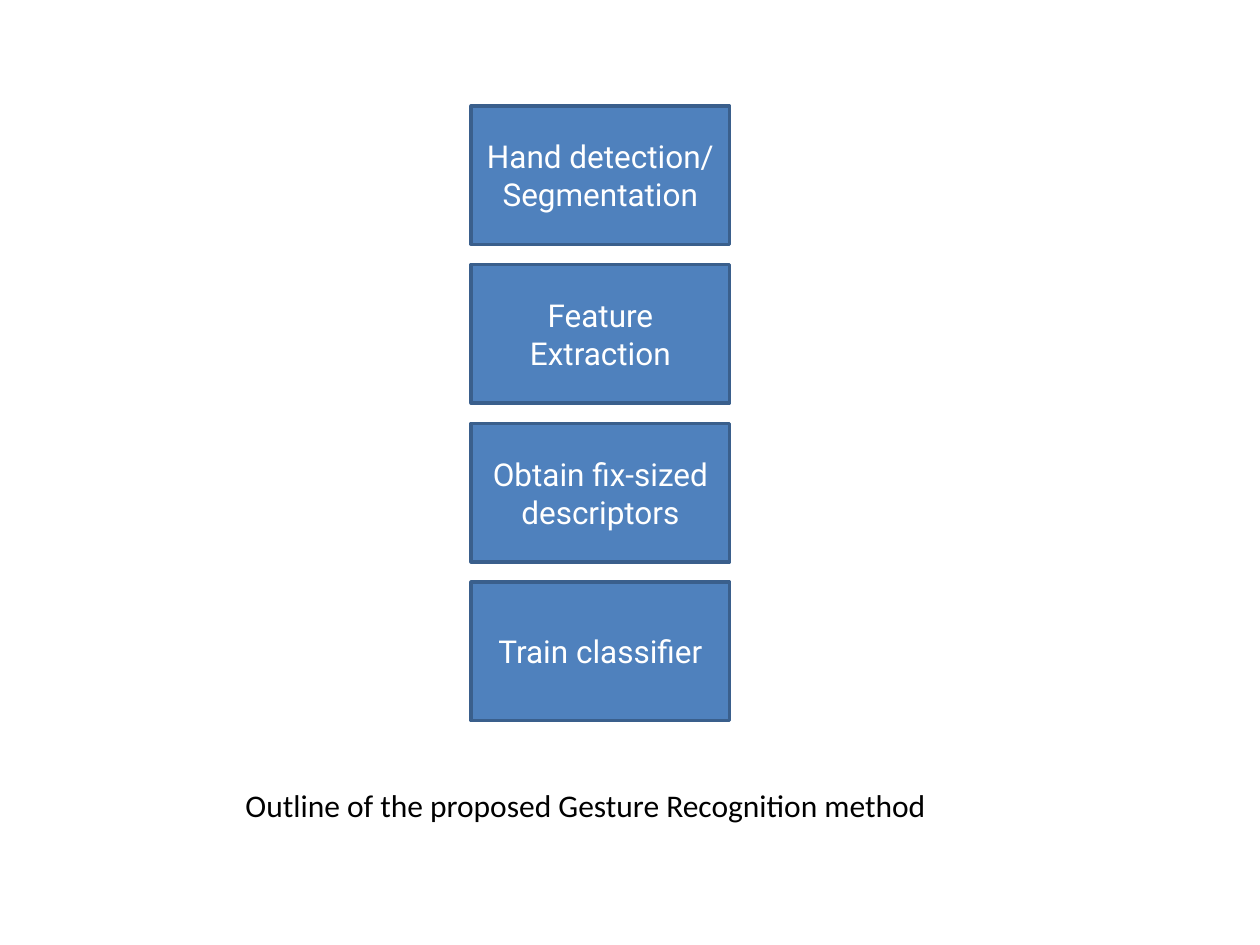
from pptx import Presentation
from pptx.dml.color import RGBColor
from pptx.enum.shapes import MSO_SHAPE
from pptx.enum.text import MSO_ANCHOR, MSO_AUTO_SIZE, PP_ALIGN
from pptx.util import Inches, Pt

COLORS = {"step": "4F81BD", "border": "3A5F8C", "step_text": "FFFFFF", "caption": "000000"}
STEPS = [
    "Hand detection/ Segmentation",
    "Feature Extraction",
    "Obtain fix-sized descriptors",
    "Train classifier",
]
GAP = Inches(0.16)


def color(name):
    return RGBColor.from_string(COLORS[name])


def set_font(paragraph, family, color_name):
    paragraph.font.name = family
    paragraph.font.size = Pt(18)
    paragraph.font.color.rgb = color(color_name)


def add_steps(slide, left, top, width, height):
    """Stack the steps evenly inside the given box."""
    step_height = (height - GAP * (len(STEPS) - 1)) // len(STEPS)
    for row, label in enumerate(STEPS):
        step = slide.shapes.add_shape(
            MSO_SHAPE.RECTANGLE, left, top + row * (step_height + GAP), width, step_height)
        step.shadow.inherit = False
        step.fill.solid()
        step.fill.fore_color.rgb = color("step")
        step.line.color.rgb = color("border")
        step.line.width = Pt(2)
        frame = step.text_frame
        frame.word_wrap = True
        frame.vertical_anchor = MSO_ANCHOR.MIDDLE
        frame.text = label
        frame.paragraphs[0].alignment = PP_ALIGN.CENTER
        set_font(frame.paragraphs[0], "Roboto", "step_text")


def add_caption(slide, left, top, width, height):
    """Place the caption line in the given box."""
    frame = slide.shapes.add_textbox(left, top, width, height).text_frame
    frame.word_wrap = True
    frame.auto_size = MSO_AUTO_SIZE.SHAPE_TO_FIT_TEXT
    frame.text = "Outline of the proposed Gesture Recognition method"
    set_font(frame.paragraphs[0], "Calibri", "caption")


def main():
    prs = Presentation()
    prs.slide_width, prs.slide_height = Inches(10), Inches(7.5)
    slide = prs.slides.add_slide(prs.slide_layouts[6])

    # Caption below the method steps
    add_caption(slide, Inches(1.85), Inches(6.19), Inches(6.54), Inches(0.4))
    # Column of method steps
    add_steps(slide, Inches(3.74), Inches(0.84), Inches(2.05), Inches(4.88))

    prs.save("out.pptx")


if __name__ == "__main__":
    main()
